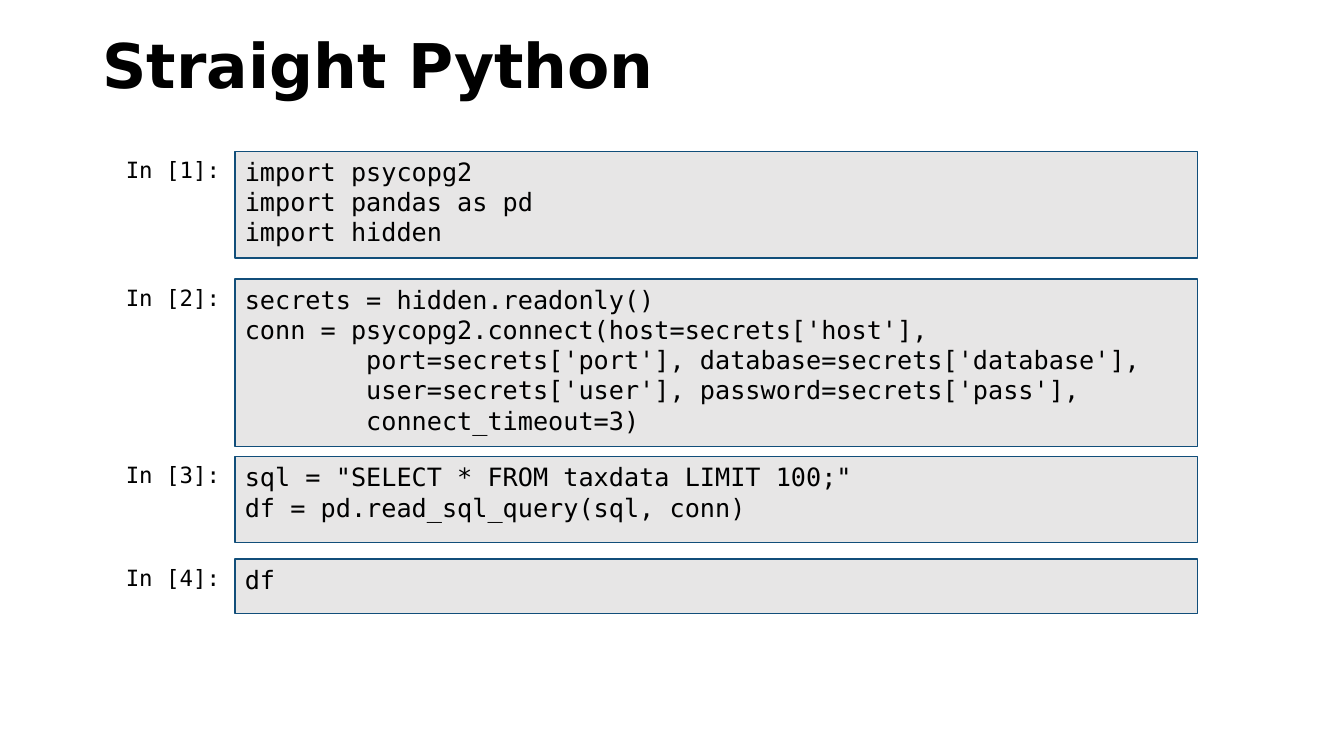
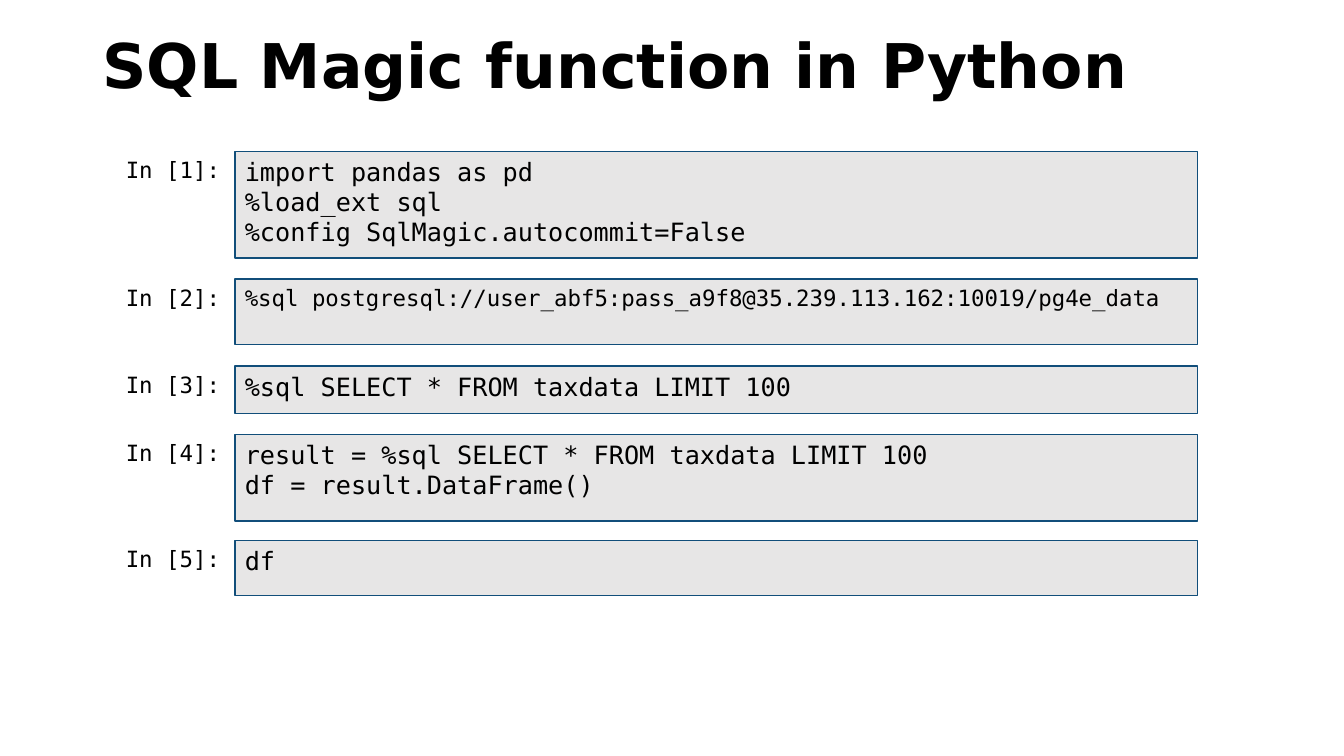
"""Build two slides of notebook cells that query a database from Python."""

from dataclasses import dataclass

from pptx import Presentation
from pptx.dml.color import RGBColor
from pptx.enum.shapes import MSO_SHAPE
from pptx.enum.text import MSO_ANCHOR, MSO_AUTO_SIZE, PP_ALIGN
from pptx.presentation import Presentation as Deck
from pptx.slide import Slide
from pptx.text.text import TextFrame
from pptx.util import Pt

RECTANGLE = MSO_SHAPE.RECTANGLE
TOP, MIDDLE = MSO_ANCHOR.TOP, MSO_ANCHOR.MIDDLE
LEFT = PP_ALIGN.LEFT
NO_AUTOFIT = MSO_AUTO_SIZE.NONE

BLACK = RGBColor(0x00, 0x00, 0x00)
CODE_GREY = RGBColor(0xE7, 0xE6, 0xE6)
BORDER_BLUE = RGBColor(0x11, 0x4E, 0x7A)
TITLE_FONT = "DejaVu Sans"
CODE_FONT = "DejaVu Sans Mono"

TITLE_ONLY = 5
PROMPT_LEFT, PROMPT_WIDTH = 82.8, 85
CODE_LEFT, CODE_WIDTH = PROMPT_LEFT + PROMPT_WIDTH, 687.4


@dataclass(frozen=True)
class Cell:
    top: float
    height: float
    code: str
    size: float = 18


@dataclass(frozen=True)
class Notebook:
    title: str
    cells: tuple[Cell, ...]


NOTEBOOKS = (
    Notebook("Straight Python", (
        Cell(108, 76.4, "import psycopg2\nimport pandas as pd\nimport hidden"),
        Cell(199.4, 119.5, """secrets = hidden.readonly()
conn = psycopg2.connect(host=secrets['host'],
        port=secrets['port'], database=secrets['database'],
        user=secrets['user'], password=secrets['pass'],
        connect_timeout=3)"""),
        Cell(326.2, 61.4, """sql = "SELECT * FROM taxdata LIMIT 100;"
df = pd.read_sql_query(sql, conn)"""),
        Cell(399.4, 39, "df"),
    )),
    Notebook("SQL Magic function in Python", (
        Cell(108, 76.4, """import pandas as pd
%load_ext sql
%config SqlMagic.autocommit=False"""),
        Cell(199.4, 46.8,
             "%sql postgresql://user_abf5:pass_a9f8@35.239.113.162:10019/pg4e_data",
             size=16),
        Cell(261.4, 33.9, "%sql SELECT * FROM taxdata LIMIT 100"),
        Cell(310.3, 61.9, """result = %sql SELECT * FROM taxdata LIMIT 100
df = result.DataFrame()"""),
        Cell(386.2, 39.4, "df"),
    )),
)


def write(frame: TextFrame, text: str, *, size: float, font: str = CODE_FONT,
          bold: bool = False, anchor: MSO_ANCHOR = TOP,
          line_spacing: float = 1.0) -> None:
    """Fill a text frame with one formatted paragraph per line."""
    frame.word_wrap = True
    frame.auto_size = NO_AUTOFIT
    frame.vertical_anchor = anchor
    for index, line in enumerate(text.split("\n")):
        paragraph = frame.add_paragraph() if index else frame.paragraphs[0]
        paragraph.alignment = LEFT
        paragraph.line_spacing = line_spacing
        run = paragraph.add_run()
        run.text = line
        run.font.name = font
        run.font.size = Pt(size)
        run.font.bold = bold
        run.font.color.rgb = BLACK


def add_cell(slide: Slide, number: int, cell: Cell) -> None:
    """Draw a numbered prompt grouped with its code box."""
    group = slide.shapes.add_group_shape()
    prompt = group.shapes.add_textbox(
        Pt(PROMPT_LEFT), Pt(cell.top), Pt(PROMPT_WIDTH), Pt(cell.height))
    write(prompt.text_frame, f"In [{number}]:", size=16)

    code_box = group.shapes.add_shape(
        RECTANGLE, Pt(CODE_LEFT), Pt(cell.top), Pt(CODE_WIDTH), Pt(cell.height))
    code_box.shadow.inherit = False
    code_box.fill.solid()
    code_box.fill.fore_color.rgb = CODE_GREY
    code_box.line.color.rgb = BORDER_BLUE
    code_box.line.width = Pt(1)
    write(code_box.text_frame, cell.code, size=cell.size)


def add_notebook(deck: Deck, notebook: Notebook) -> None:
    """Add a slide with a title and its notebook cells."""
    slide = deck.slides.add_slide(deck.slide_layouts[TITLE_ONLY])
    title = slide.shapes.title
    title.left, title.top = Pt(66), Pt(19.4)
    title.width, title.height = Pt(828), Pt(59)
    write(title.text_frame, notebook.title, size=44, font=TITLE_FONT,
          bold=True, anchor=MIDDLE, line_spacing=0.9)
    for number, cell in enumerate(notebook.cells, start=1):
        add_cell(slide, number, cell)


def main() -> None:
    """Build and save the presentation."""
    deck = Presentation()
    deck.slide_width, deck.slide_height = Pt(960), Pt(540)
    for notebook in NOTEBOOKS:
        add_notebook(deck, notebook)
    deck.save("out.pptx")


if __name__ == "__main__":
    main()
